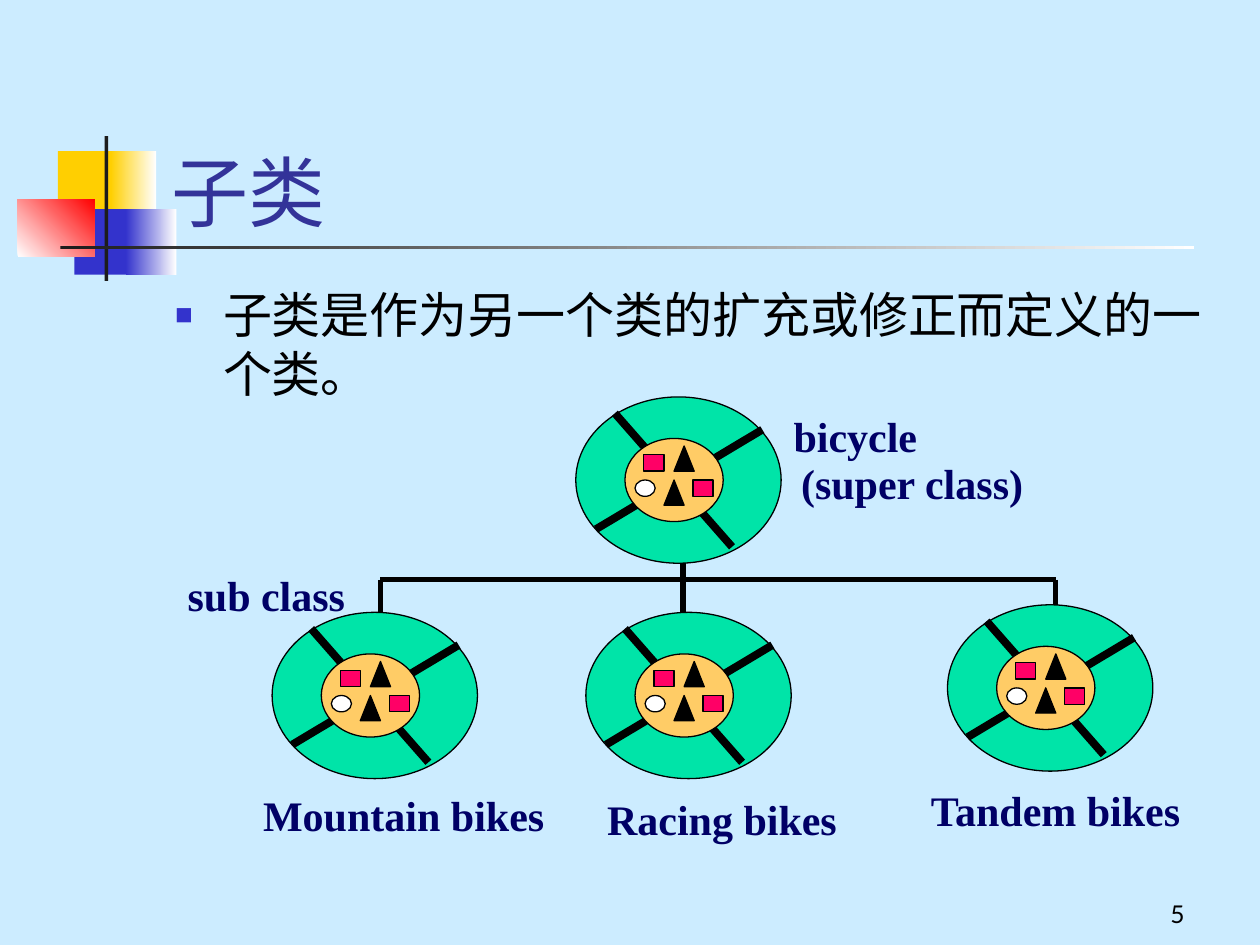
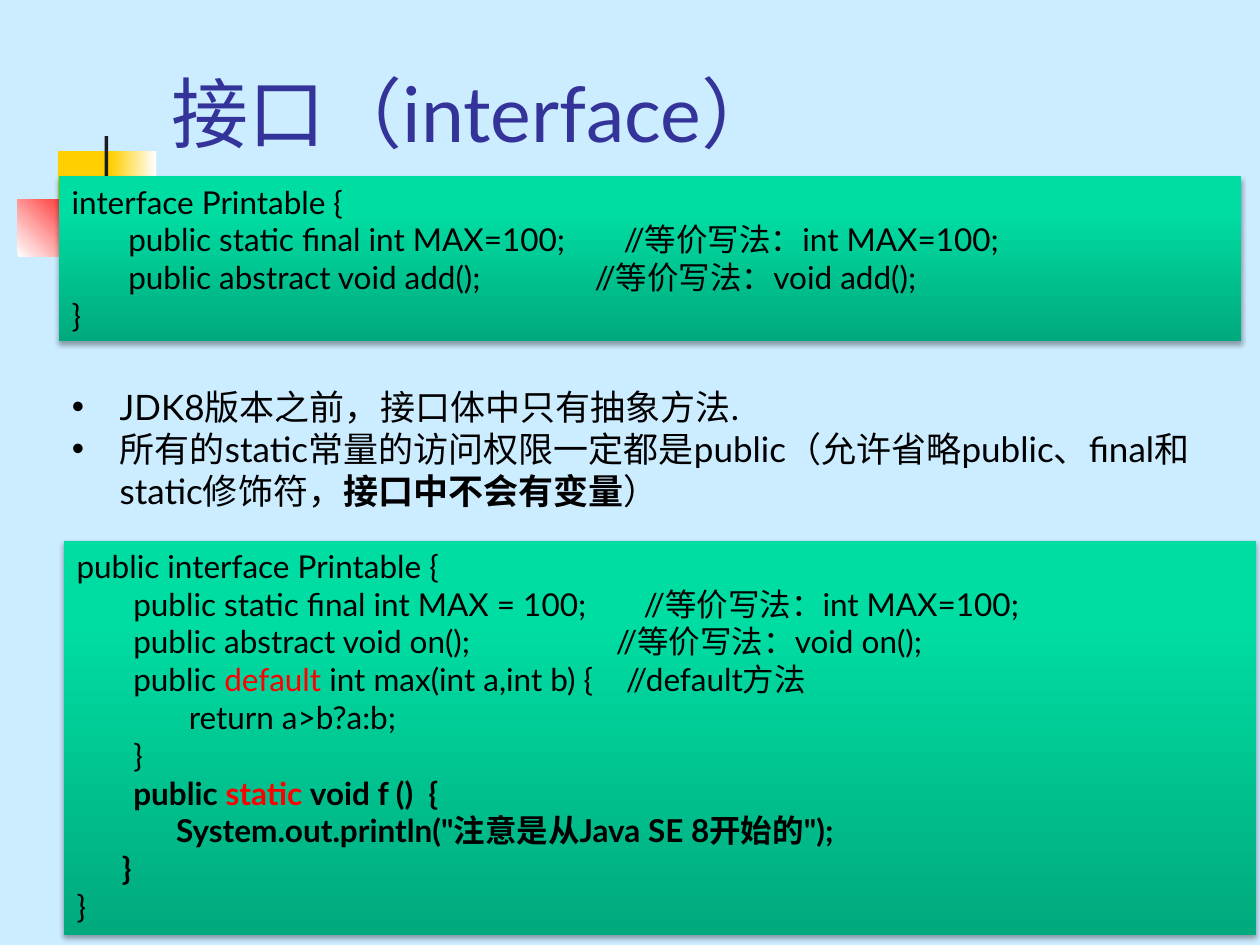
import pptx
import pptx.util
import pptx.dml.color
import pptx.enum.shapes
import pptx.enum.text
import pptx.oxml.ns
from lxml import etree

Inches = pptx.util.Inches
Pt = pptx.util.Pt
qn = pptx.oxml.ns.qn
Preset = pptx.enum.shapes.MSO_SHAPE
Anchor = pptx.enum.text.MSO_ANCHOR
Align = pptx.enum.text.PP_ALIGN

COLORS = {
    "sky": "CCECFF", "title": "333399", "black": "000000", "white": "FFFFFF",
    "yellow": "FFCF01", "blue": "3333CC", "red": "FF0000", "ink": "1C1C1C",
    "wheel": "00E4A8", "hub": "FFCC66", "pink": "FF0066", "navy": "000066",
    "code low": "00AA7D", "code mid": "00DDA3", "code high": "00DEA4",
}
FONT, LABEL_FONT = "Lato", "Times New Roman"

# Master decoration: box, gradient stops (one stop means solid), angle
DECORATION = [
    ((0.46, 1.2, 0.48, 0.52), [(0, "yellow")], 0),
    ((0.88, 1.2, 0.36, 0.52), [(0, "yellow"), (100, "white")], 0),
    ((0.59, 1.66, 0.46, 0.52), [(0, "blue")], 0),
    ((1, 1.66, 0.4, 0.52), [(0, "blue"), (100, "white")], 0),
    ((0.14, 1.58, 0.61, 0.46), [(0, "white"), (100, "red")], 315),
    ((0.83, 1.08, 0.03, 1.15), [(0, "ink")], 0),
    ((0.48, 1.95, 9, 0.03), [(0, "ink"), (100, "white")], 0),
]

SUBCLASS_TITLE = "子类"
SUBCLASS_BODY = [[("子类是作为另一个类的扩充或修正而定义的一个类。", False)]]
PAGE_NUMBER = "5"
BIKES = [(7.52, 4.8), (4.65, 4.86), (2.16, 4.86), (4.57, 3.15)]
# Bike parts, measured from the top left corner of its wheel
WHEEL, HUB = (0, 0, 1.63, 1.32), (0.39, 0.33, 0.78, 0.66)
SPOKES = [(0.16, 1.05, 1.48, 0.26), (0.31, 0.13, 1.24, 1.19)]
HUB_PARTS = [
    (Preset.RECTANGLE, (0.54, 0.46, 0.16, 0.13), "pink"),
    (Preset.ISOSCELES_TRIANGLE, (0.7, 0.66, 0.16, 0.2), "black"),
    (Preset.ISOSCELES_TRIANGLE, (0.78, 0.39, 0.16, 0.2), "black"),
    (Preset.RECTANGLE, (0.93, 0.66, 0.16, 0.13), "pink"),
    (Preset.OVAL, (0.47, 0.66, 0.16, 0.13), "white"),
]
TREE_Y, TREE_LEFT, TREE_RIGHT = 4.6, 3.02, 8.38
TREE = [
    (TREE_LEFT, TREE_Y, TREE_RIGHT, TREE_Y),
    (5.42, 4.47, 5.42, 4.86),
    (TREE_LEFT, TREE_Y, TREE_LEFT, 4.86),
    (TREE_RIGHT, TREE_Y, TREE_RIGHT, 4.8),
]
LABELS = [
    ("bicycle", (6.2, 3.21, 1.18, 0.5)),
    ("(super class)", (6.26, 3.58, 1.97, 0.5)),
    ("Mountain bikes", (1.99, 6.22, 2.44, 0.5)),
    ("Racing bikes", (4.72, 6.25, 2.03, 0.5)),
    ("Tandem bikes", (7.29, 6.18, 2.21, 0.5)),
    ("sub class", (1.39, 4.47, 1.45, 0.5)),
]

INTERFACE_TITLE = "接口（interface）"
INTERFACE_BODY = [
    [("JDK8版本之前，接口体中只有抽象方法.", False)],
    [("所有的static常量的访问权限一定都是public（允许省略public、final和static修饰符，", False),
     ("接口中不会有变量", True), ("）", False)],
]
# Code lines: tab stops, text pieces (a red keyword is the second piece), bold
CODE_BOXES = [
    ((0.47, 1.4, 9.38, 1.31), [
        ((), ["interface Printable {"], False),
        ((0.45, 4.38), ["\tpublic static final int MAX=100;\t//等价写法：int MAX=100;"], False),
        ((0.45, 4.15), ["\tpublic abstract void add();\t//等价写法：void add();"], False),
        ((), ["}"], False),
    ]),
    ((0.51, 4.29, 9.46, 3.13), [
        ((), ["public interface Printable {"], False),
        ((0.45, 4.5), ["\tpublic static final int MAX = 100;\t//等价写法：int MAX=100;"], False),
        ((0.45, 4.28), ["\tpublic abstract void on();\t//等价写法：void on();"], False),
        ((0.45, 4.36), ["\tpublic ", "default ", "int max(int a,int b) {\t//default方法"], False),
        ((0.89,), ["\treturn a>b?a:b;"], False),
        ((0.45,), ["\t}"], False),
        ((0.45,), ["\tpublic ", "static ", "void f ()  {"], True),
        ((0.79,), ["\tSystem.out.println(\"注意是从Java SE 8开始的\");"], True),
        ((0.36,), ["\t}"], True),
        ((), ["}"], False),
    ]),
]


def rgb(name):
    """Return the named colour."""
    return pptx.dml.color.RGBColor.from_string(COLORS[name])


def inches(values):
    """Convert a sequence of inches to lengths."""
    return [Inches(value) for value in values]


def child(parent, tag, **attributes):
    """Append a DrawingML element to parent."""
    return etree.SubElement(parent, qn(tag), {key: str(value) for key, value in attributes.items()})


def style(font, size, color, name=FONT, bold=None):
    """Set size, colour, face and weight of a font."""
    font.size, font.name, font.bold = Pt(size), name, bold
    font.color.rgb = rgb(color)


def paint(shape, stops, angle=0):
    """Fill a shape with one colour or with a gradient."""
    if len(stops) == 1:
        shape.fill.solid()
        shape.fill.fore_color.rgb = rgb(stops[0][1])
        return
    shape.fill.gradient()
    shape.fill.gradient_angle = (360 - angle) % 360
    stop_list = next(shape.element.iter(qn("a:gsLst")))
    stop_list.clear()
    for position, color in stops:
        stop = child(stop_list, "a:gs", pos=position * 1000)
        child(stop, "a:srgbClr", val=COLORS[color])


def add_shape(shapes, preset, box, stops, angle=0, outline=True):
    """Add a flat shape, with a thin black outline if asked for."""
    shape = shapes.add_shape(preset, *inches(box))
    paint(shape, stops, angle)
    if outline:
        shape.line.color.rgb = rgb("black")
        shape.line.width = Pt(0.75)
    else:
        shape.line.fill.background()
    shape.shadow.inherit = False
    return shape


def add_line(shapes, ends, width):
    """Add a straight black line."""
    line = shapes.add_connector(pptx.enum.shapes.MSO_CONNECTOR.STRAIGHT, *inches(ends))
    line.line.color.rgb = rgb("black")
    line.line.width = Pt(width)
    child(line.element.spPr, "a:effectLst")


def add_text(shapes, text, box, wrap=True):
    """Add a one-paragraph text box and return its frame."""
    frame = shapes.add_textbox(*inches(box)).text_frame
    frame.word_wrap = wrap
    frame.text = text
    return frame


def place(shape, box):
    """Move a placeholder to a box."""
    shape.left, shape.top, shape.width, shape.height = inches(box)


def add_slide(presentation, title, title_top, items, body_box, size, bullet):
    """Add a slide with its title and bulleted list."""
    slide = presentation.slides.add_slide(presentation.slide_layouts[1])
    heading, body = slide.placeholders
    place(heading, (1.26, title_top, 8.52, 1.25))
    frame = heading.text_frame
    frame.text = title
    frame.vertical_anchor = Anchor.BOTTOM
    frame.paragraphs[0].alignment = Align.LEFT
    style(frame.paragraphs[0].font, 44, "title")

    place(body, body_box)
    frame = body.text_frame
    frame.auto_size = pptx.enum.text.MSO_AUTO_SIZE.NONE
    for index, pieces in enumerate(items):
        paragraph = frame.add_paragraph() if index else frame.paragraphs[0]
        properties = paragraph._p.get_or_add_pPr()
        properties.set("marL", str(Inches(0.38)))
        properties.set("indent", str(-Inches(0.38)))
        if bullet == "■":
            child(child(properties, "a:buClr"), "a:srgbClr", val=COLORS["blue"])
            child(properties, "a:buSzPct", val=60000)
        else:
            paragraph.space_before = Pt(0)
        child(properties, "a:buChar", char=bullet)
        style(paragraph.font, size, "black")
        for text, bold in pieces:
            run = paragraph.add_run()
            run.text = text
            if bold:
                run.font.bold = True
    return slide


def decorate_master(presentation, slide):
    """Put the background and the colour blocks on the slide master."""
    master = presentation.slide_master
    master.background.fill.solid()
    master.background.fill.fore_color.rgb = rgb("sky")
    for index, (box, stops, angle) in enumerate(DECORATION):
        shape = add_shape(slide.shapes, Preset.RECTANGLE, box, stops, angle, outline=False)
        shape.element.nvSpPr.cNvPr.set("id", str(100 + index))
        master.shapes.element.insert(2 + index, shape.element)


def add_bike(shapes, left, top):
    """Draw one wheel with its spokes and hub parts."""
    def moved(box):
        return (left + box[0], top + box[1], *box[2:])

    add_shape(shapes, Preset.OVAL, moved(WHEEL), [(0, "wheel")])
    for x1, y1, x2, y2 in SPOKES:
        add_line(shapes, (left + x1, top + y1, left + x2, top + y2), 4.5)
    add_shape(shapes, Preset.OVAL, moved(HUB), [(0, "hub")])
    for preset, box, color in HUB_PARTS:
        add_shape(shapes, preset, moved(box), [(0, color)])


def add_class_tree(slide):
    """Draw the grouped class diagram."""
    shapes = slide.shapes.add_group_shape().shapes
    for left, top in BIKES:
        add_bike(shapes, left, top)
    for ends in TREE:
        add_line(shapes, ends, 3)
    for text, box in LABELS:
        frame = add_text(shapes, text, box, wrap=False)
        style(frame.paragraphs[0].font, 24, "navy", LABEL_FONT, True)


def add_code(slide, box, lines):
    """Add a shaded box of code aligned with tab stops."""
    stops = [(0, "code low"), (80, "code mid"), (100, "code high")]
    shape = add_shape(slide.shapes, Preset.RECTANGLE, box, stops, 270, outline=False)
    effects = shape.element.spPr.find(qn("a:effectLst"))
    shadow = child(effects, "a:outerShdw", blurRad=Pt(3.1), dist=Pt(1.8), dir=5400000, rotWithShape=0)
    child(child(shadow, "a:srgbClr", val=COLORS["black"]), "a:alpha", val=35000)
    frame = shape.text_frame
    frame.word_wrap = True
    frame.vertical_anchor = Anchor.TOP
    for index, (tabs, pieces, bold) in enumerate(lines):
        paragraph = frame.add_paragraph() if index else frame.paragraphs[0]
        paragraph.alignment = Align.LEFT
        if tabs:
            tab_list = child(paragraph._p.get_or_add_pPr(), "a:tabLst")
            for tab in tabs:
                child(tab_list, "a:tab", pos=Inches(tab), algn="l")
        style(paragraph.font, 18, "black", bold=bold)
        for position, text in enumerate(pieces):
            run = paragraph.add_run()
            run.text = text
            if position == 1:
                run.font.color.rgb = rgb("red")


def main():
    """Build both slides and save them."""
    presentation = pptx.Presentation()
    presentation.slide_width, presentation.slide_height = inches((10, 7.5))

    subclass = add_slide(presentation, SUBCLASS_TITLE, 0.68, SUBCLASS_BODY,
                         (1.29, 2.21, 8.5, 4.54), 28, "■")
    decorate_master(presentation, subclass)
    number = add_text(subclass.shapes, PAGE_NUMBER, (7.42, 6.92, 2.08, 0.5))
    number.vertical_anchor = Anchor.BOTTOM
    number.paragraphs[0].alignment = Align.RIGHT
    style(number.paragraphs[0].font, 14, "black")
    add_class_tree(subclass)

    interface = add_slide(presentation, INTERFACE_TITLE, 0.05, INTERFACE_BODY,
                          (0.47, 3.01, 9.43, 1.11), 20, "•")
    for box, lines in CODE_BOXES:
        add_code(interface, box, lines)

    presentation.save("out.pptx")


main()
